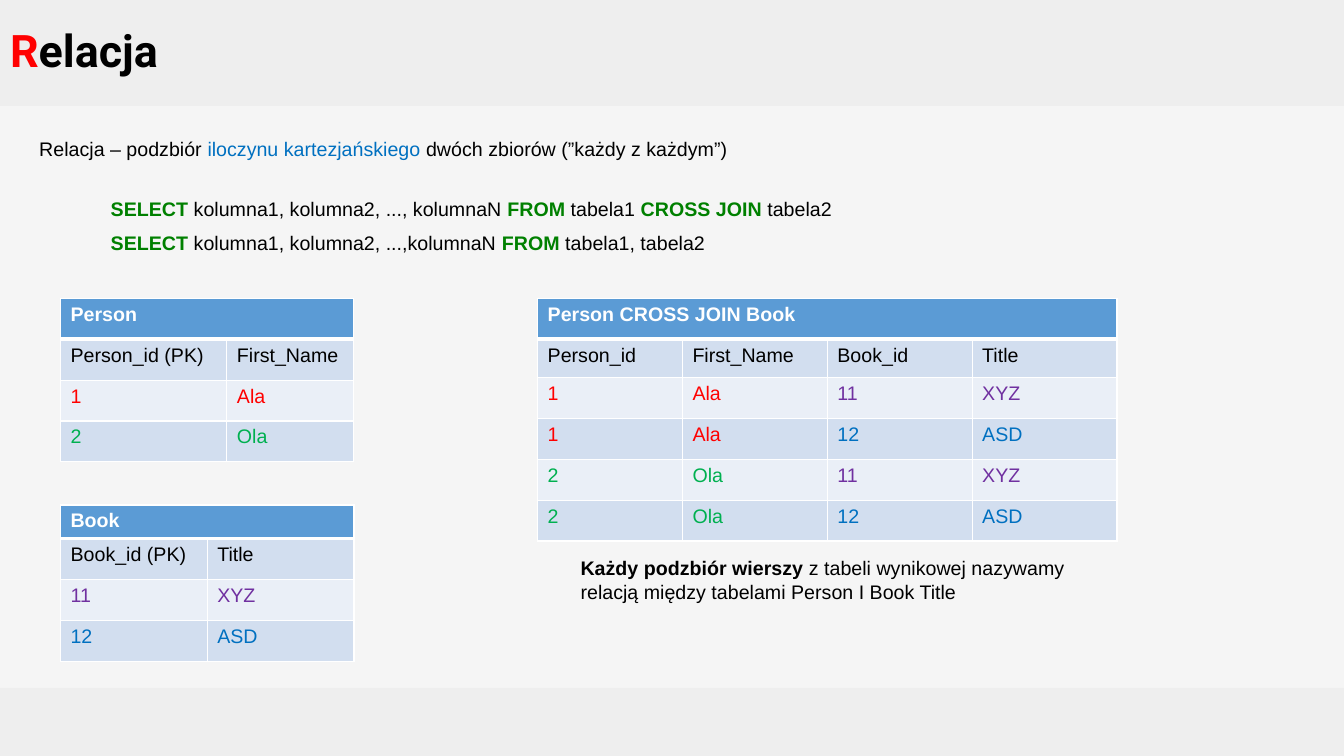
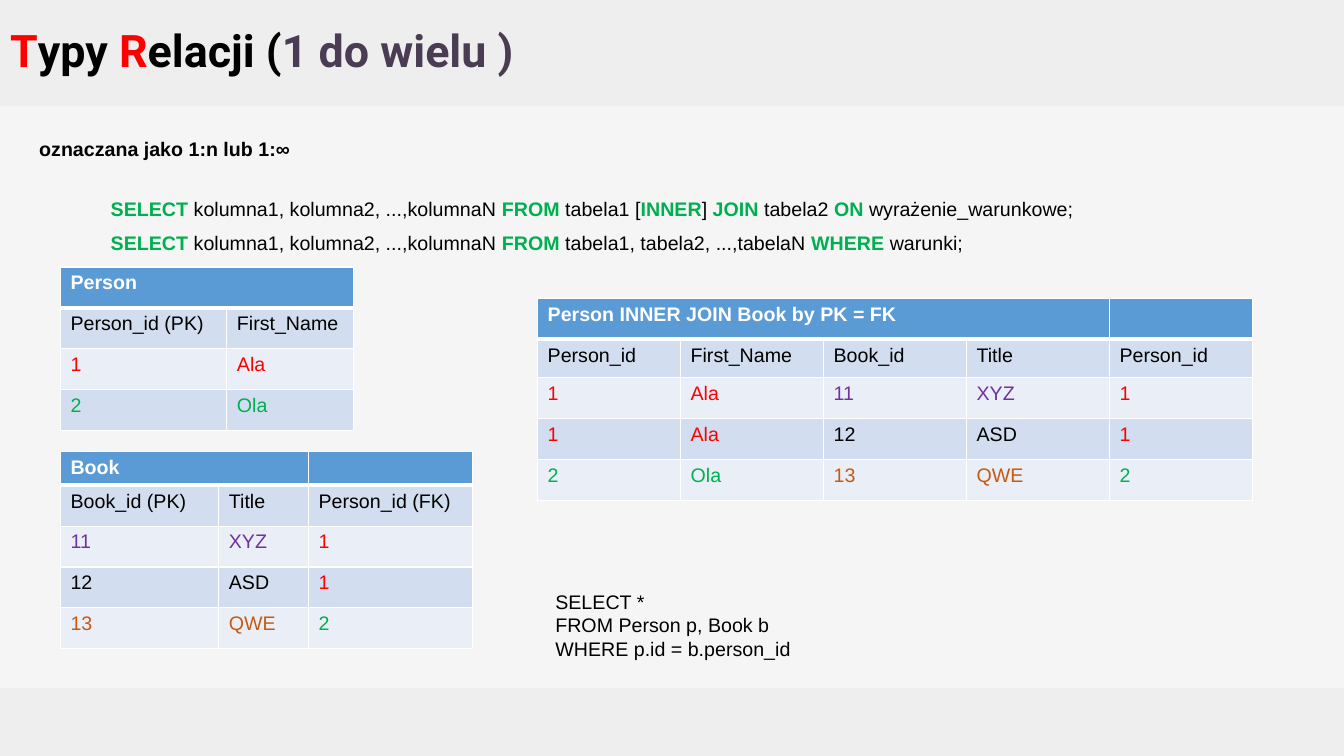
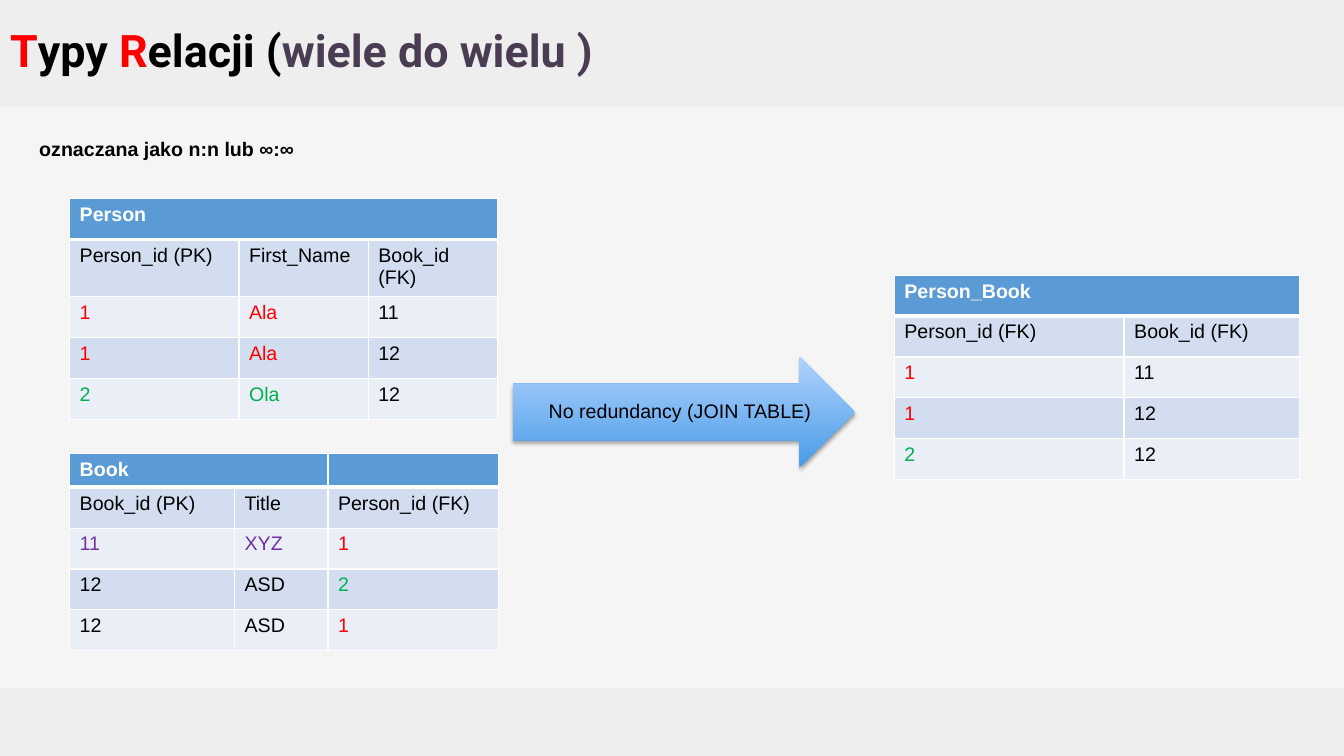
import dataclasses

import pptx
import pptx.dml.color
import pptx.enum.dml
import pptx.enum.shapes
import pptx.enum.text
import pptx.oxml
import pptx.oxml.ns
import pptx.util


@dataclasses.dataclass(frozen=True)
class Theme:
    background: str = "F5F5F5"
    band: str = "EEEEEE"
    black: str = "000000"
    white: str = "FFFFFF"
    red: str = "FF0000"
    green: str = "00B050"
    dark_green: str = "008000"
    purple: str = "7030A0"
    blue: str = "0070C0"
    orange: str = "C55A11"
    title_detail: str = "4A3D53"
    header_fill: str = "5B9BD5"
    row_fills: tuple = ("D2DEEF", "EAEFF7")
    arrow_fills: tuple = ("499CE7", "B0D2FF")
    title_font: str = "Roboto"
    body_font: str = "Arial"
    title_size: int = 32
    body_size: int = 14


THEME = Theme()

# Table row heights and text height, in percent of the slide height
ROW = 5.41
SHORT_ROW = 5.07
LOW_HEADER = 4.4
LINE = 4.53

# Left edges, in percent of the slide width
NOTE_LEFT = 2.18
QUERY_LEFT = 7.5
TABLE_LEFT = 4.5
RESULT_LEFT = 40

# Top edges, in percent of the slide height
NOTE_TOP = 17.47
QUERY_TOPS = (25.33, 29.87)
RESULT_TOP = 39.47

PERSON_COLORS = {"1": THEME.red, "Ala": THEME.red, "2": THEME.green, "Ola": THEME.green}
FIRST_BOOK_COLORS = {"11": THEME.purple, "XYZ": THEME.purple}
SECOND_BOOK_COLORS = {"12": THEME.blue, "ASD": THEME.blue}
THIRD_BOOK_COLORS = {"13": THEME.orange, "QWE": THEME.orange}

PERSON_ROWS = [("Person_id (PK)", "First_Name"), ("1", "Ala"), ("2", "Ola")]
PERSON_COLUMNS = (12.38, 9.45)


def rgb(color):
    return pptx.dml.color.RGBColor.from_string(color)


def marked_runs(text, color=None, bold=None):
    """Split text at | signs; every second part takes the given colour and weight."""
    return [
        (part, color, bold) if index % 2 else (part, None, None)
        for index, part in enumerate(text.split("|"))
        if part
    ]


class Deck:
    """Holds the theme and the current slide; places are percents of the slide's size."""

    def __init__(self, theme):
        self.theme = theme
        self.presentation = pptx.Presentation()
        self.presentation.slide_width = pptx.util.Inches(13.33)
        self.presentation.slide_height = pptx.util.Inches(7.5)
        self.layout = self.presentation.slide_layouts[5]
        fill = self.layout.background.fill
        fill.solid()
        fill.fore_color.rgb = rgb(theme.background)
        self.slide = None

    def across(self, share):
        return round(self.presentation.slide_width * share / 100)

    def down(self, share):
        return round(self.presentation.slide_height * share / 100)

    def box(self, left, top, width, height):
        return self.across(left), self.down(top), self.across(width), self.down(height)

    def add_runs(self, paragraph, runs, size=None, font=None, color=None, bold=False):
        paragraph.font.size = pptx.util.Pt(size or self.theme.body_size)
        paragraph.font.name = font or self.theme.body_font
        paragraph.font.bold = bold
        paragraph.font.color.rgb = rgb(color or self.theme.black)
        for text, run_color, run_bold in runs:
            run = paragraph.add_run()
            run.text = text
            if run_color:
                run.font.color.rgb = rgb(run_color)
            if run_bold is not None:
                run.font.bold = run_bold

    def layout_band(self, top, height):
        """Draw a full-width band and move it to the back of the shared layout."""
        band = self.slide.shapes.add_shape(
            pptx.enum.shapes.MSO_SHAPE.RECTANGLE, *self.box(0, top, 100, height))
        band.fill.solid()
        band.fill.fore_color.rgb = rgb(self.theme.band)
        band.line.fill.background()
        band.shadow.inherit = False
        self.layout.shapes.element.insert(2, band.element)

    def new_slide(self, title, detail=""):
        first = self.slide is None
        self.slide = self.presentation.slides.add_slide(self.layout)
        if first:
            self.layout_band(0, 14)
            self.layout_band(91, 9)
        placeholder = self.slide.shapes.title
        placeholder.left, placeholder.top, placeholder.width, placeholder.height = self.box(
            0, 0, 89.35, 14)
        frame = placeholder.text_frame
        frame.auto_size = pptx.enum.text.MSO_AUTO_SIZE.NONE
        frame.vertical_anchor = pptx.enum.text.MSO_ANCHOR.MIDDLE
        frame.margin_left = frame.margin_right = pptx.util.Inches(0.1)
        frame.margin_top = frame.margin_bottom = pptx.util.Inches(0.1)
        paragraph = frame.paragraphs[0]
        paragraph.alignment = pptx.enum.text.PP_ALIGN.LEFT
        paragraph.line_spacing = 0.9
        runs = marked_runs(title, self.theme.red)
        if detail:
            runs.append((detail, self.theme.title_detail, None))
        self.add_runs(paragraph, runs, self.theme.title_size, self.theme.title_font, bold=True)

    def text(self, left, top, width, lines, color=None, mark_bold=None, bold=False):
        shape = self.slide.shapes.add_textbox(
            *self.box(left, top, width, LINE * len(lines)))
        frame = shape.text_frame
        frame.word_wrap = True
        for index, line in enumerate(lines):
            paragraph = frame.add_paragraph() if index else frame.paragraphs[0]
            self.add_runs(paragraph, marked_runs(line, color, mark_bold), bold=bold)

    def queries(self, color, lines):
        for top, line in zip(QUERY_TOPS, lines):
            self.text(QUERY_LEFT, top, 74, [line], color, mark_bold=True)

    def cell_borders(self, cell, top, bottom):
        properties = cell._tc.get_or_add_tcPr()
        widths = (("lnL", 1), ("lnR", 1), ("lnT", top), ("lnB", bottom))
        for index, (side, width) in enumerate(widths):
            properties.insert(index, pptx.oxml.parse_xml(
                f'<a:{side} {pptx.oxml.ns.nsdecls("a")} w="{pptx.util.Pt(width)}">'
                f'<a:solidFill><a:srgbClr val="{self.theme.white}"/></a:solidFill>'
                f'</a:{side}>'))

    def table(self, left, top, columns, name, rows, colors, span=None,
              header=ROW, second=ROW):
        """Draw a named table; colors maps cell values to text colours."""
        heights = [header, second] + [ROW] * (len(rows) - 1)
        table = self.slide.shapes.add_table(
            len(heights), len(columns),
            *self.box(left, top, sum(columns), sum(heights))).table
        table.first_row = table.horz_banding = False
        for column, width in zip(table.columns, columns):
            column.width = self.across(width)
        for row, height in zip(table.rows, heights):
            row.height = self.down(height)
        names = (name,) + ("",) * (len(columns) - 1)
        for row_index, values in enumerate([names] + rows):
            is_header = row_index == 0
            for column_index, value in enumerate(values):
                cell = table.cell(row_index, column_index)
                cell.fill.solid()
                cell.fill.fore_color.rgb = rgb(
                    self.theme.header_fill if is_header
                    else self.theme.row_fills[(row_index - 1) % 2])
                self.cell_borders(cell, 3 if row_index == 1 else 1, 3 if is_header else 1)
                color = self.theme.white if is_header else colors.get(value)
                self.add_runs(cell.text_frame.paragraphs[0], marked_runs(value),
                              color=color, bold=is_header)
        table.cell(0, 0).merge(table.cell(0, (span or len(columns)) - 1))

    def arrow(self, left, top, width, height, label):
        shape = self.slide.shapes.add_shape(
            pptx.enum.shapes.MSO_SHAPE.RIGHT_ARROW, *self.box(left, top, width, height))
        shape.adjustments[0] = 0.51
        shape.line.fill.background()
        shape.fill.gradient()
        shape.fill.gradient_angle = 90
        for position, (stop, color) in enumerate(
                zip(shape.fill.gradient_stops, self.theme.arrow_fills)):
            stop.position = position
            stop.color.rgb = rgb(color)
        shape.shadow.inherit = False
        effects = shape.element.spPr.find(pptx.oxml.ns.qn("a:effectLst"))
        effects.append(pptx.oxml.parse_xml(
            f'<a:outerShdw {pptx.oxml.ns.nsdecls("a")} blurRad="{pptx.util.Pt(3.1)}" '
            f'dist="{pptx.util.Pt(1.8)}" dir="5400000" rotWithShape="0">'
            f'<a:srgbClr val="{self.theme.black}"><a:alpha val="35000"/></a:srgbClr>'
            '</a:outerShdw>'))
        frame = shape.text_frame
        frame.word_wrap = True
        frame.vertical_anchor = pptx.enum.text.MSO_ANCHOR.MIDDLE
        frame.margin_left = pptx.util.Inches(0.2)
        frame.margin_right = frame.margin_top = frame.margin_bottom = 0
        paragraph = frame.paragraphs[0]
        paragraph.alignment = pptx.enum.text.PP_ALIGN.CENTER
        paragraph.line_spacing = 0.9
        self.add_runs(paragraph, marked_runs(label))


def cross_join_slide(deck):
    deck.new_slide("|R|elacja")
    deck.text(NOTE_LEFT, NOTE_TOP, 60,
              ["Relacja – podzbiór |iloczynu kartezjańskiego |dwóch zbiorów (”każdy z każdym”)"],
              THEME.blue)
    deck.queries(THEME.dark_green, [
        "|SELECT| kolumna1, kolumna2, ..., kolumnaN |FROM| tabela1 |CROSS JOIN| tabela2",
        "|SELECT| kolumna1, kolumna2, ...,kolumnaN |FROM| tabela1, tabela2",
    ])
    colors = PERSON_COLORS | FIRST_BOOK_COLORS | SECOND_BOOK_COLORS
    people = PERSON_ROWS[1:]
    books = [("11", "XYZ"), ("12", "ASD")]
    deck.table(TABLE_LEFT, RESULT_TOP, PERSON_COLUMNS, "Person", PERSON_ROWS, colors)
    deck.table(TABLE_LEFT, 66.8, (10.92,) * 2, "Book",
               [("Book_id (PK)", "Title")] + books, colors, header=LOW_HEADER)
    deck.table(RESULT_LEFT, RESULT_TOP, (10.78,) * 4, "Person CROSS JOIN Book",
               [("Person_id", "First_Name", "Book_id", "Title")]
               + [person + book for person in people for book in books],
               colors, second=SHORT_ROW)
    deck.text(42.46, 72.93, 40,
              ["|Każdy podzbiór wierszy |z tabeli wynikowej nazywamy",
               "relacją między tabelami Person I Book Title"], mark_bold=True)


def one_to_many_slide(deck):
    deck.new_slide("|T|ypy |R|elacji (", "1 do wielu )")
    deck.text(NOTE_LEFT, NOTE_TOP, 30, ["oznaczana jako 1:n lub 1:∞"], bold=True)
    deck.queries(THEME.green, [
        "|SELECT |kolumna1, kolumna2, ...,kolumnaN |FROM |tabela1 [|INNER|] |JOIN |tabela2 "
        "|ON |wyrażenie_warunkowe;",
        "|SELECT |kolumna1, kolumna2, ...,kolumnaN |FROM |tabela1, tabela2, ...,tabelaN "
        "|WHERE |warunki;",
    ])
    colors = PERSON_COLORS | FIRST_BOOK_COLORS | THIRD_BOOK_COLORS
    books = [("11", "XYZ", "1"), ("12", "ASD", "1"), ("13", "QWE", "2")]
    names = dict(PERSON_ROWS[1:])
    deck.table(TABLE_LEFT, 35.33, PERSON_COLUMNS, "Person", PERSON_ROWS, colors)
    deck.table(TABLE_LEFT, 59.73, (11.78, 6.68, 12.23), "Book",
               [("Book_id (PK)", "Title", "Person_id (FK)")] + books,
               colors, span=2, header=LOW_HEADER)
    deck.table(RESULT_LEFT, RESULT_TOP, (10.64,) * 5, "Person INNER JOIN Book by PK = FK",
               [("Person_id", "First_Name", "Book_id", "Title", "Person_id")]
               + [(book[2], names[book[2]]) + book for book in books],
               colors, span=4, second=SHORT_ROW)
    deck.text(40.58, 77.33, 32,
              ["SELECT *", "FROM Person p, Book b", "WHERE p.id = b.person_id"])


def many_to_many_slide(deck):
    left = 5.18
    deck.new_slide("|T|ypy |R|elacji (", "wiele do wielu )")
    deck.text(NOTE_LEFT, NOTE_TOP, 30, ["oznaczana jako n:n lub ∞:∞"], bold=True)
    deck.table(left, 26.27, (12.6, 9.62, 9.62), "Person",
               [("Person_id (PK)", "First_Name", "Book_id (FK)"),
                ("1", "Ala", "11"), ("1", "Ala", "12"), ("2", "Ola", "12")], PERSON_COLORS)
    deck.table(left, 60, (12.27, 6.95, 12.68), "Book",
               [("Book_id (PK)", "Title", "Person_id (FK)"),
                ("11", "XYZ", "1"), ("12", "ASD", "2"), ("12", "ASD", "1")],
               PERSON_COLORS | FIRST_BOOK_COLORS, span=2, header=LOW_HEADER)
    deck.table(66.54, 36.4, (17.1, 13.05), "Person_Book",
               [("Person_id (FK)", "Book_id (FK)"), ("1", "11"), ("1", "12"), ("2", "12")],
               PERSON_COLORS)
    deck.arrow(38.18, 47.2, 25.43, 14.67, "No redundancy (JOIN TABLE)")


def main():
    deck = Deck(THEME)
    cross_join_slide(deck)
    one_to_many_slide(deck)
    many_to_many_slide(deck)
    deck.presentation.save("out.pptx")


if __name__ == "__main__":
    main()
